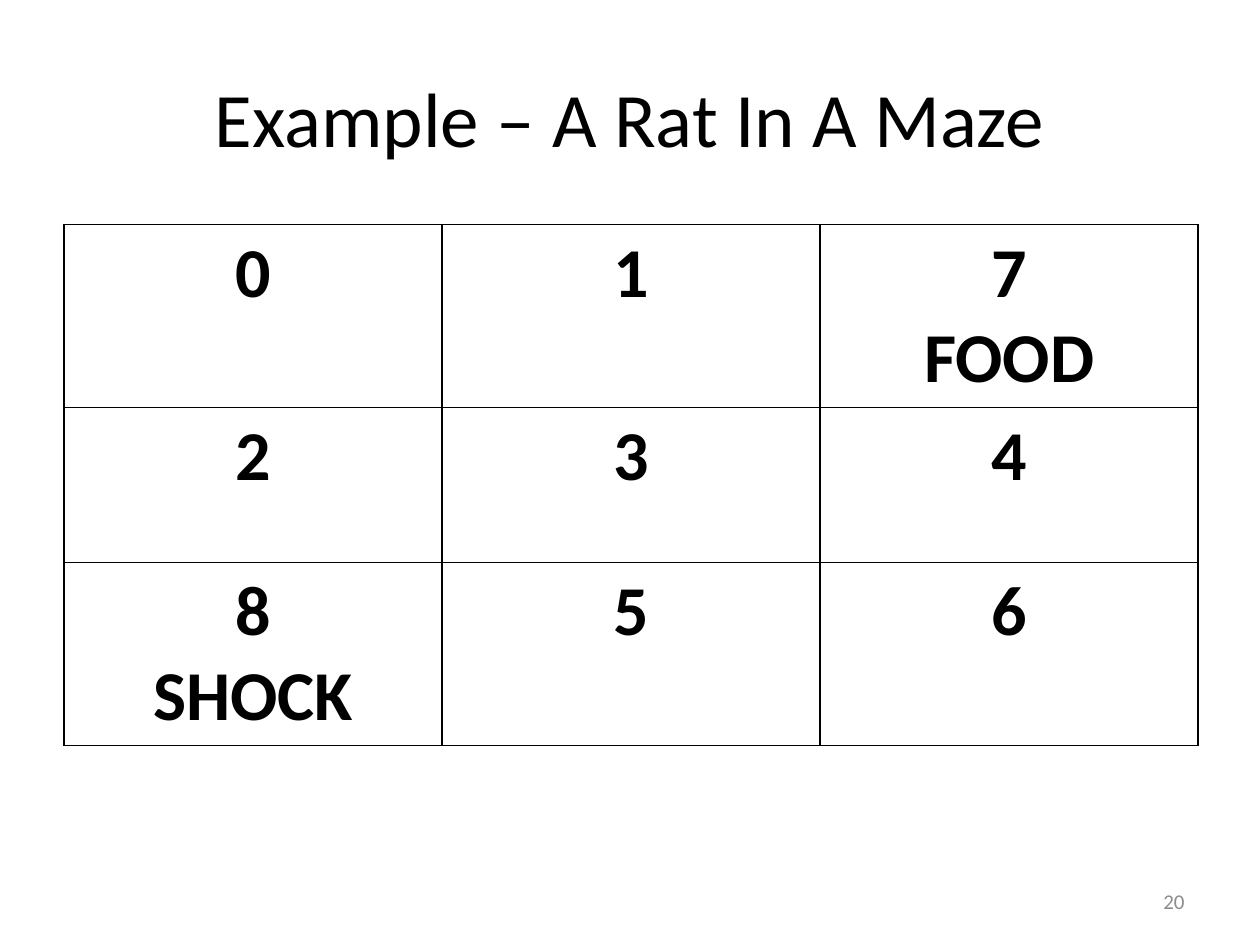
"""Build a slide with a three by three maze of numbered rooms."""
from pptx import Presentation
from pptx.dml.color import RGBColor
from pptx.enum.text import MSO_ANCHOR as Anchor, PP_ALIGN as Align
from pptx.oxml import parse_xml
from pptx.oxml.ns import nsdecls
from pptx.util import Inches, Pt

BLACK = RGBColor(0, 0, 0)
WHITE = RGBColor(255, 255, 255)
GRAY = RGBColor(0x8C, 0x8C, 0x8C)


def write(frame, text, size, color=BLACK, bold=False, align=Align.CENTER):
    frame.text = text
    frame.word_wrap = True
    for para in frame.paragraphs:
        para.alignment = align
        for run in para.runs:
            font = run.font
            font.name = "Calibri"
            font.size = Pt(size)
            font.bold = bold
            font.color.rgb = color


deck = Presentation()
deck.slide_width, deck.slide_height = Inches(10), Inches(7.5)
slide = deck.slides.add_slide(deck.slide_layouts[5])

title = slide.shapes.title
title.left, title.top = Inches(0.5), Inches(0.3)
title.width, title.height = Inches(9), Inches(1.25)
title.text_frame.vertical_anchor = Anchor.MIDDLE
write(title.text_frame, "Example – A Rat In A Maze", 44)

rooms = [["0", "1", "7\nFOOD"], ["2", "3", "4"], ["8\nSHOCK", "5", "6"]]
maze = slide.shapes.add_table(3, 3, Inches(0.51), Inches(1.78), Inches(9), Inches(4.1))
table = maze.table
table.first_row = table.horz_banding = False
for row, names in zip(table.rows, rooms):
    row.height = Inches(1.23)
    for cell, name in zip(row.cells, names):
        write(cell.text_frame, name, 40, bold=True)
        props = cell._tc.get_or_add_tcPr()
        for side in ("lnL", "lnR", "lnT", "lnB"):
            props.append(parse_xml(
                f'<a:{side} {nsdecls("a")} w="{Pt(1)}"><a:solidFill>'
                f'<a:srgbClr val="{BLACK}"/></a:solidFill></a:{side}>'))
        cell.fill.solid()
        cell.fill.fore_color.rgb = WHITE
maze.height = Inches(4.1)

page = slide.shapes.add_textbox(Inches(7.17), Inches(6.95), Inches(2.33), Inches(0.4))
page.text_frame.vertical_anchor = Anchor.MIDDLE
write(page.text_frame, "20", 12, color=GRAY, align=Align.RIGHT)

deck.save("out.pptx")
